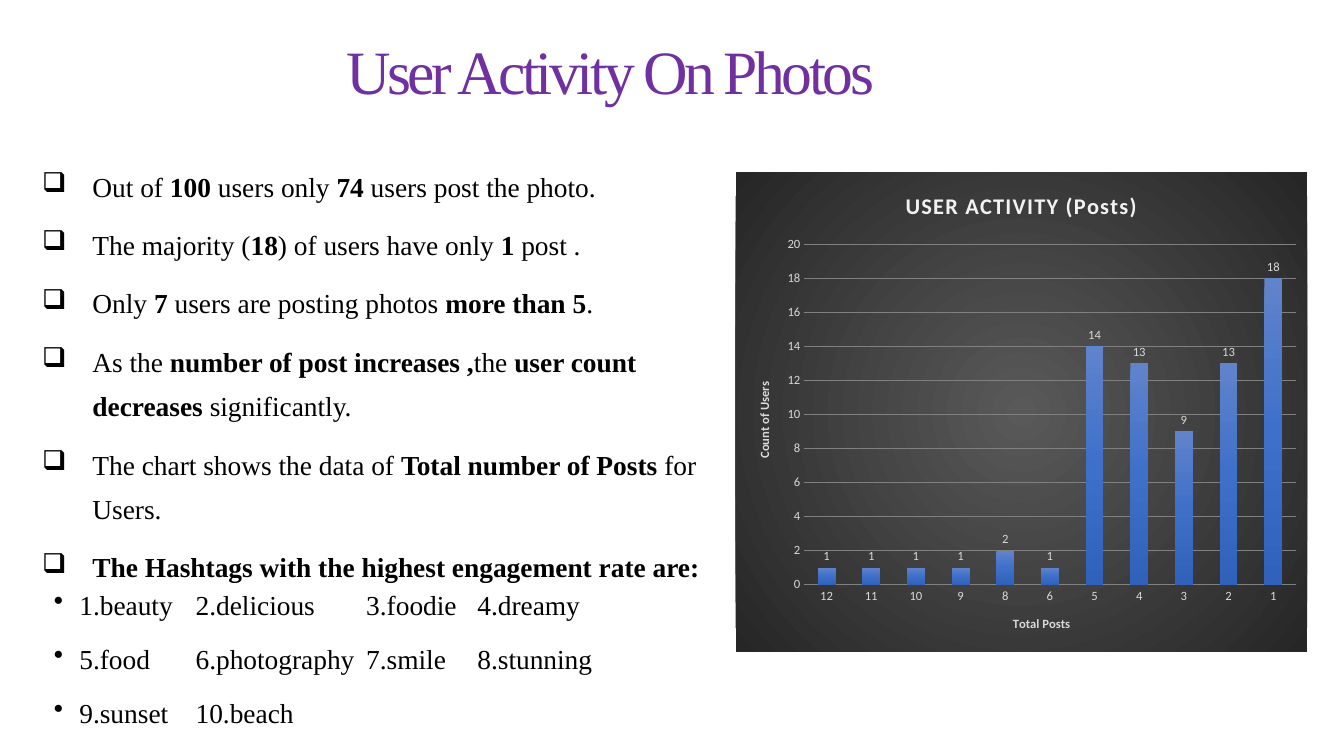
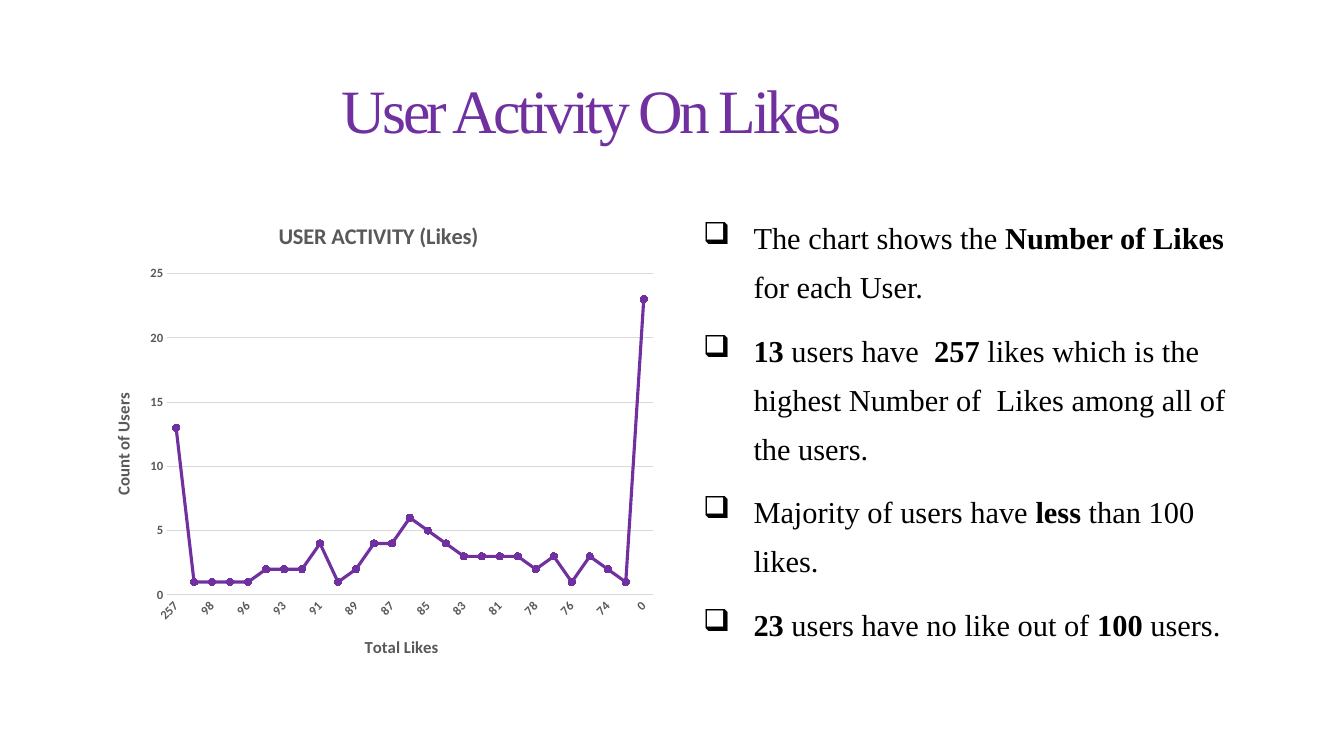
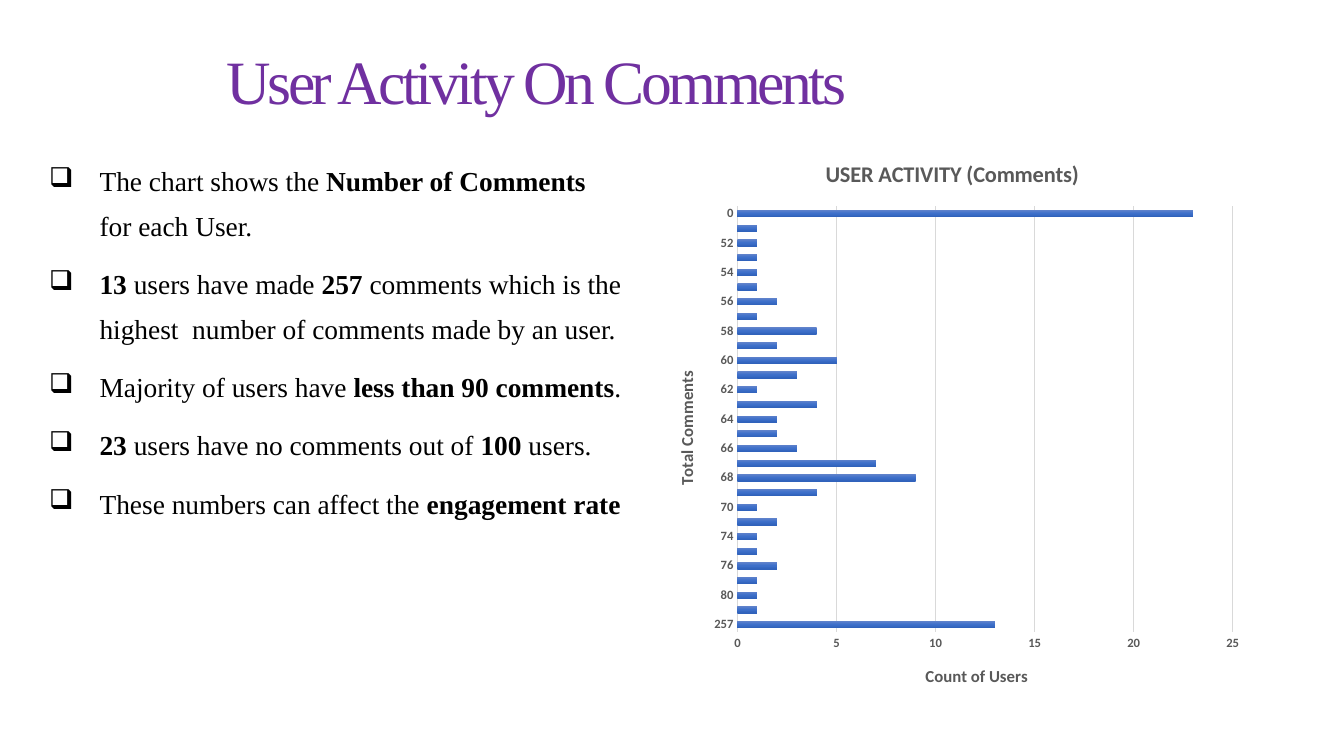
"""Three slides on user activity: posts, likes and comments, each with a chart."""
from lxml import etree
from pptx import Presentation
from pptx.chart.data import CategoryChartData
from pptx.dml.color import RGBColor
from pptx.enum.chart import XL_CHART_TYPE, XL_LABEL_POSITION, XL_MARKER_STYLE, XL_TICK_MARK
from pptx.enum.text import MSO_ANCHOR
from pptx.oxml import parse_xml
from pptx.oxml.ns import nsdecls, qn
from pptx.util import Cm, Pt

COLUMN = XL_CHART_TYPE.COLUMN_CLUSTERED
LINE = XL_CHART_TYPE.LINE_MARKERS
BAR = XL_CHART_TYPE.BAR_CLUSTERED
OUTSIDE_END = XL_LABEL_POSITION.OUTSIDE_END
CIRCLE = XL_MARKER_STYLE.CIRCLE
NO_TICK = XL_TICK_MARK.NONE
MIDDLE = MSO_ANCHOR.MIDDLE

COLORS = {
    "purple": "7030A0", "black": "000000", "gray": "595959", "light": "D9D9D9",
    "white": "F2F2F2", "dark_grid": "808080", "dark_edge": "262626",
    "blue_top": "6183CB", "blue_mid": "3E70CA", "blue_low": "3062BB",
}
SERIF, SANS = "Times New Roman", "Calibri"
HASHTAG_STOPS = (4.2, 8.5, 11.3)
BLUE_SHADES = [(0, "blue_top"), (50, "blue_mid"), (100, "blue_low")]
DARK_SHADES = [(0, "gray"), (100, "dark_edge")]
DOWNWARD = '<a:lin ang="5400000" scaled="0"/>'
FROM_CENTER = '<a:path path="circle"><a:fillToRect l="50000" t="50000" r="50000" b="50000"/></a:path>'

SLIDES = [
    {
        "title": "User Activity On Photos", "title_at": (8.48, 0.76, 14.4, 2.26),
        "body_at": (0.48, 3.86, 18.06, 14.81), "size": 19.6,
        "points": [
            "Out of *100* users only *74* users post the photo.",
            "The majority (*18*) of users have only *1* post .",
            "Only *7 *users are posting photos *more than 5*.",
            "As the *number of post increases ,*the *user count decreases* significantly.",
            "The chart shows the data of *Total number of Posts *for Users.",
            "*The Hashtags with the highest engagement rate are:*",
        ],
        "hashtags": [
            "1.beauty\t2.delicious\t3.foodie\t4.dreamy",
            "5.food\t6.photography\t7.smile\t8.stunning",
            "9.sunset\t10.beach",
        ],
        "chart": COLUMN, "chart_at": (18.54, 4.34, 14.4, 12.09),
        "plot_at": (0.12, 0.15, 0.86, 0.71),
        "chart_title": "USER ACTIVITY (Posts)",
        "category_title": "Total Posts", "value_title": "Count of Users",
        "categories": [12, 11, 10, 9, 8, 6, 5, 4, 3, 2, 1],
        "values": [1, 1, 1, 1, 2, 1, 14, 13, 9, 13, 18],
        "scale": (20, 2), "gap": 150, "overlap": 0, "dark": True,
    },
    {
        "title": "User Activity On Likes", "title_at": (8.36, 1.02, 23.19, 3.68),
        "body_at": (17.14, 5.08, 14.4, 12.09), "size": 21.7,
        "points": [
            "The chart shows the *Number of Likes *for each User.",
            "*13* users have  *257* likes which is the highest Number of  Likes among all of the users.",
            "Majority of users have *less *than 100 likes.",
            "*23* users have no like out of *100* users.",
        ],
        "hashtags": [],
        "chart": LINE, "chart_at": (2.34, 5.08, 14.4, 12.09),
        "plot_at": (0.13, 0.15, 0.85, 0.67),
        "chart_title": "USER ACTIVITY (Likes)",
        "category_title": "Total Likes", "value_title": "Count of Users",
        "categories": [257, 103, 98, 97, 96, 94, 93, 92, 91, 90, 89, 88, 87, 86,
                       85, 84, 83, 82, 81, 79, 78, 77, 76, 75, 74, 69, 0],
        "values": [13, 1, 1, 1, 1, 2, 2, 2, 4, 1, 2, 4, 4, 6,
                   5, 4, 3, 3, 3, 3, 2, 3, 1, 3, 2, 1, 23],
        "scale": (25, 5), "dark": False,
    },
    {
        "title": "User Activity On Comments", "title_at": (5.46, 1.02, 26.06, 2.24),
        "body_at": (0.66, 3.73, 15.32, 14.05), "size": 19.6,
        "points": [
            "The chart shows the *Number of Comments *for each User.",
            "*13* users have made *257 *comments which is the highest  number of comments made by an user.",
            "Majority of users have *less than 90 comments*.",
            "*23* users have no comments out of *100* users.",
            "These numbers can affect the *engagement rate*",
        ],
        "hashtags": [],
        "chart": BAR, "chart_at": (16.48, 3.48, 15.04, 14.3),
        "plot_at": (0.14, 0.12, 0.83, 0.75),
        "chart_title": "USER ACTIVITY (Comments)",
        "category_title": "Total Comments", "value_title": "Count of Users",
        "categories": [257, 83, 80, 77, 76, 75, 74, 72, 70, 69, 68, 67, 66, 65, 64,
                       63, 62, 61, 60, 59, 58, 57, 56, 55, 54, 53, 52, 49, 0],
        "values": [13, 1, 1, 1, 2, 1, 1, 2, 1, 4, 9, 7, 3, 2, 2,
                   4, 1, 3, 5, 2, 4, 1, 2, 1, 1, 1, 1, 1, 23],
        "scale": (25, 5), "gap": 115, "overlap": -20, "dark": False,
    },
]


def set_font(font, name, size, color, bold=None):
    font.name, font.size, font.bold = name, Pt(size), bold
    font.color.rgb = RGBColor.from_string(COLORS[color])


def gradient(shades, direction):
    stops = "".join(f'<a:gs pos="{position * 1000}"><a:srgbClr val="{COLORS[color]}"/></a:gs>'
                    for position, color in shades)
    return parse_xml(f'<a:gradFill {nsdecls("a")} rotWithShape="1">'
                     f'<a:gsLst>{stops}</a:gsLst>{direction}</a:gradFill>')


deck = Presentation()
deck.slide_width, deck.slide_height = Cm(33.87), Cm(19.05)

for topic in SLIDES:
    slide = deck.slides.add_slide(deck.slide_layouts[6])

    heading = slide.shapes.add_textbox(*map(Cm, topic["title_at"])).text_frame
    heading.word_wrap = True
    heading.vertical_anchor = MIDDLE
    headline = heading.paragraphs[0]
    headline.text = topic["title"]
    headline.line_spacing = 0.9
    set_font(headline.font, SERIF, 44, "purple")
    headline._p.pPr.find(qn("a:defRPr")).set("spc", "-250")

    body = slide.shapes.add_textbox(*map(Cm, topic["body_at"])).text_frame
    body.word_wrap = True
    lines = [(text, False) for text in topic["points"]] + [(text, True) for text in topic["hashtags"]]
    for number, (text, is_hashtag) in enumerate(lines):
        line = body.add_paragraph() if number else body.paragraphs[0]
        for part, words in enumerate(text.split("*")):
            if words:
                run = line.add_run()
                run.text = words
                if part % 2:
                    run.font.bold = True
        line.line_spacing = 0.7 if is_hashtag else 1.35
        line.space_before = Pt(10)
        line.space_after = Pt(12 if is_hashtag else 0)
        layout = line._p.get_or_add_pPr()
        layout.set("marL", str(Cm(1.27 if is_hashtag else 1.6)))
        layout.set("indent", str(Cm(-0.64 if is_hashtag else -1.27)))
        bullet_color = etree.SubElement(layout, qn("a:buClr"))
        etree.SubElement(bullet_color, qn("a:srgbClr"), val=COLORS["black"])
        etree.SubElement(layout, qn("a:buChar"), char="•" if is_hashtag else "❑")
        if is_hashtag:
            stops = etree.SubElement(layout, qn("a:tabLst"))
            for stop in HASHTAG_STOPS:
                etree.SubElement(stops, qn("a:tab"), pos=str(Cm(stop)), algn="l")
        set_font(line.font, SERIF, topic["size"], "black")

    dark = topic["dark"]
    label_color = "light" if dark else "gray"
    data = CategoryChartData()
    data.categories = [str(category) for category in topic["categories"]]
    data.add_series("Series 1", topic["values"])
    chart = slide.shapes.add_chart(topic["chart"], *map(Cm, topic["chart_at"]), data).chart
    set_font(chart.font, SANS, 10, "black")
    chart.has_legend = False
    chart.has_title = True
    caption = chart.chart_title.text_frame.paragraphs[0]
    caption.text = topic["chart_title"]
    set_font(caption.font, SANS, 16, "white" if dark else "gray", True)

    x, y, width, height = topic["plot_at"]
    plot_area = chart._chartSpace.chart.plotArea
    for automatic in plot_area.findall(qn("c:layout")):
        plot_area.remove(automatic)
    plot_area.insert(0, parse_xml(
        f'<c:layout {nsdecls("c")}><c:manualLayout><c:layoutTarget val="inner"/>'
        f'<c:xMode val="edge"/><c:yMode val="edge"/><c:x val="{x}"/><c:y val="{y}"/>'
        f'<c:w val="{width}"/><c:h val="{height}"/></c:manualLayout></c:layout>'))

    upright = chart.category_axis if topic["chart"] == BAR else chart.value_axis
    for axis, name in ((chart.category_axis, topic["category_title"]),
                       (chart.value_axis, topic["value_title"])):
        axis.major_tick_mark = axis.minor_tick_mark = NO_TICK
        set_font(axis.tick_labels.font, SANS, 9, label_color, not dark)
        axis_name = axis.axis_title.text_frame
        axis_name.paragraphs[0].text = name
        set_font(axis_name.paragraphs[0].font, SANS, 9 if dark else 12, label_color, True)
        if axis._element is upright._element:
            axis_name._txBody.bodyPr.set("rot", "-5400000")
            axis_name._txBody.bodyPr.set("vert", "horz")

    categories, counts = chart.category_axis, chart.value_axis
    categories._element.find(qn("c:txPr")).find(qn("a:bodyPr")).set("rot", "-60000000")
    counts.minimum_scale = 0
    counts.maximum_scale, counts.major_unit = topic["scale"]
    counts.has_major_gridlines = True
    grid = counts.major_gridlines.format.line
    grid.width = Pt(0.75)
    grid.color.rgb = RGBColor.from_string(COLORS["dark_grid" if dark else "light"])
    counts.format.line.fill.background()
    if dark:
        categories.format.line.fill.background()
    else:
        categories.format.line.width = Pt(0.75)
        categories.format.line.color.rgb = RGBColor.from_string(COLORS["light"])

    plot = chart.plots[0]
    plot.vary_by_categories = False
    users = plot.series[0]
    if topic["chart"] == LINE:
        purple = RGBColor.from_string(COLORS["purple"])
        users.smooth = False
        users.format.line.width = Pt(2.25)
        users.format.line.color.rgb = purple
        users.marker.style, users.marker.size = CIRCLE, 5
        users.marker.format.fill.solid()
        users.marker.format.fill.fore_color.rgb = purple
        users.marker.format.line.color.rgb = purple
    else:
        plot.gap_width, plot.overlap = topic["gap"], topic["overlap"]
        users._element.get_or_add_spPr().insert(0, gradient(BLUE_SHADES, DOWNWARD))
    if dark:
        plot.has_data_labels = True
        plot.data_labels.show_value = True
        plot.data_labels.position = OUTSIDE_END
        set_font(plot.data_labels.font, SANS, 9, label_color)
        caption.font._element.set("spc", "100")
        backdrop = parse_xml(f'<c:spPr {nsdecls("c", "a")}/>')
        backdrop.append(gradient(DARK_SHADES, FROM_CENTER))
        chart._chartSpace.find(qn("c:txPr")).addprevious(backdrop)

deck.save("out.pptx")
